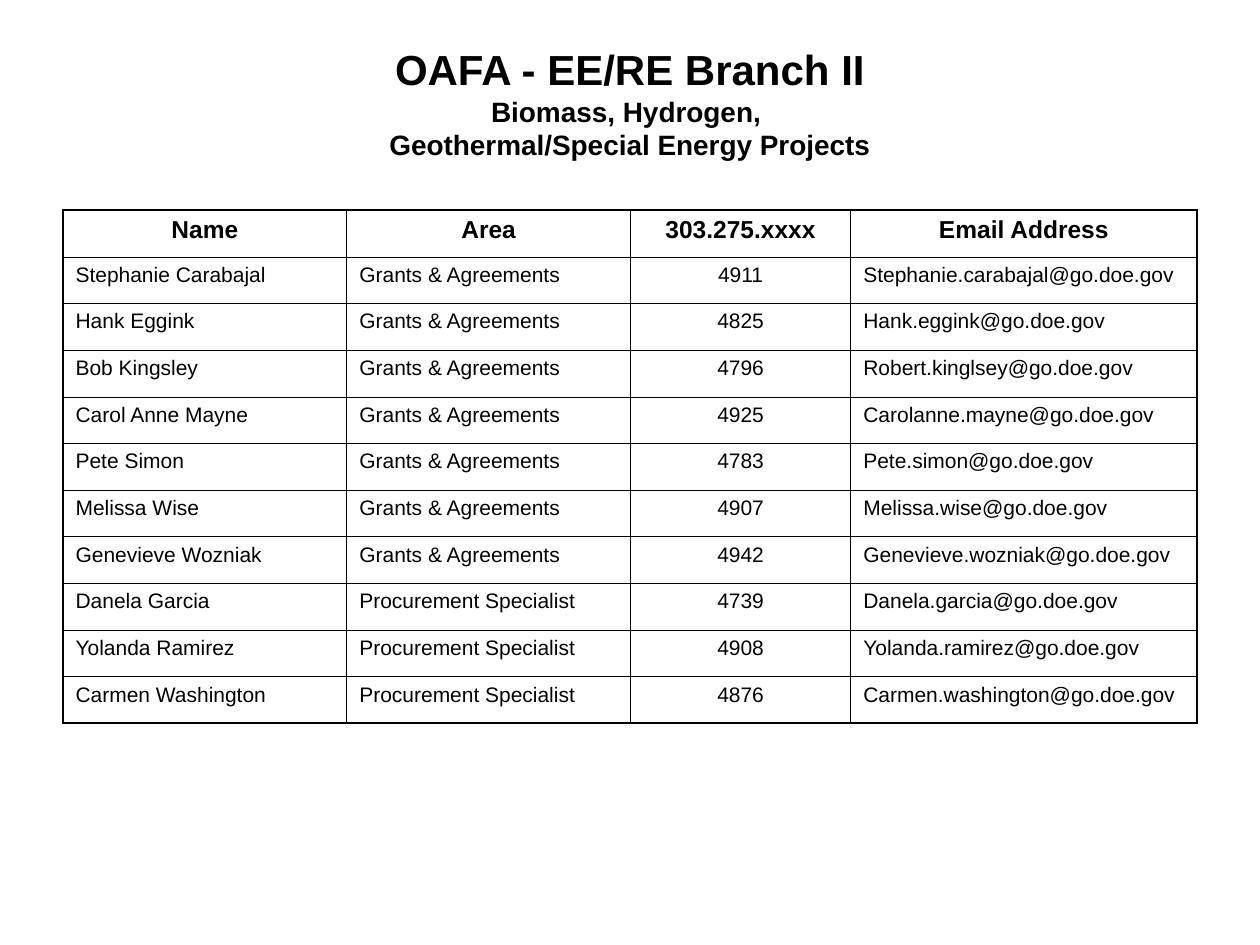
"""Build the OAFA EE/RE Branch II contact slide."""
from dataclasses import astuple, dataclass

from lxml import etree
from pptx import Presentation, util as u
from pptx.dml.color import RGBColor
from pptx.enum import text as t
from pptx.oxml import ns

INK = "000000"
FONT = "Arial"
GRANTS = "Grants & Agreements"
PROCUREMENT = "Procurement Specialist"
THIN, THICK = 0.45, 1.08
LEFT, WIDTH = u.Cm(1.27), u.Cm(22.86)
ROW_HEIGHT = u.Cm(0.94)
COLUMN_WIDTHS = (5.72, 5.72, 4.44, 6.98)
PHONE_COLUMN = 2


@dataclass
class Contact:
    name: str
    area: str
    phone: str
    email: str


HEADINGS = Contact("Name", "Area", "303.275.xxxx", "Email Address")
CONTACTS = [
    Contact("Stephanie Carabajal", GRANTS, "4911", "Stephanie.carabajal@go.doe.gov"),
    Contact("Hank Eggink", GRANTS, "4825", "Hank.eggink@go.doe.gov"),
    Contact("Bob Kingsley", GRANTS, "4796", "Robert.kinglsey@go.doe.gov"),
    Contact("Carol Anne Mayne", GRANTS, "4925", "Carolanne.mayne@go.doe.gov"),
    Contact("Pete Simon", GRANTS, "4783", "Pete.simon@go.doe.gov"),
    Contact("Melissa Wise", GRANTS, "4907", "Melissa.wise@go.doe.gov"),
    Contact("Genevieve Wozniak", GRANTS, "4942", "Genevieve.wozniak@go.doe.gov"),
    Contact("Danela Garcia", PROCUREMENT, "4739", "Danela.garcia@go.doe.gov"),
    Contact("Yolanda Ramirez", PROCUREMENT, "4908", "Yolanda.ramirez@go.doe.gov"),
    Contact("Carmen Washington", PROCUREMENT, "4876", "Carmen.washington@go.doe.gov"),
]


def color(value: str) -> RGBColor:
    return RGBColor.from_string(value)


def write(paragraph, words: str, *, size: float, bold: bool = False, centered: bool = False) -> None:
    paragraph.alignment = t.PP_ALIGN.CENTER if centered else t.PP_ALIGN.LEFT
    run = paragraph.add_run()
    run.text = words
    run.font.name = FONT
    run.font.size = u.Pt(size)
    run.font.bold = bold
    run.font.color.rgb = color(INK)


def draw_border(cell, side: str, weight: float) -> None:
    properties = cell._tc.get_or_add_tcPr()
    line = etree.SubElement(properties, ns.qn(f"a:ln{side}"), w=str(int(u.Pt(weight))))
    fill = etree.SubElement(line, ns.qn("a:solidFill"))
    etree.SubElement(fill, ns.qn("a:srgbClr"), val=str(color(INK)))


def add_title(slide) -> None:
    frame = slide.shapes.add_textbox(LEFT, u.Cm(0.76), WIDTH, u.Cm(3.18)).text_frame
    frame.word_wrap = True
    frame.vertical_anchor = t.MSO_ANCHOR.TOP
    write(frame.paragraphs[0], "OAFA - EE/RE Branch II", size=24, bold=True, centered=True)
    for subtitle in ("Biomass, Hydrogen, ", "Geothermal/Special Energy Projects"):
        write(frame.add_paragraph(), subtitle, size=16, bold=True, centered=True)


def add_directory(slide, contacts: list[Contact]) -> None:
    rows = [HEADINGS, *contacts]
    last_row, last_column = len(rows) - 1, len(COLUMN_WIDTHS) - 1
    directory = slide.shapes.add_table(
        len(rows), len(COLUMN_WIDTHS), LEFT, u.Cm(4.24), WIDTH, ROW_HEIGHT * len(rows)
    ).table
    directory.first_row = directory.horz_banding = False
    for column, width in zip(directory.columns, COLUMN_WIDTHS):
        column.width = u.Cm(width)
    for r, contact in enumerate(rows):
        directory.rows[r].height = ROW_HEIGHT
        heading = r == 0
        for c, words in enumerate(astuple(contact)):
            cell = directory.cell(r, c)
            outer_edges = {"L": c == 0, "R": c == last_column, "T": heading, "B": r == last_row}
            for side, outer in outer_edges.items():
                draw_border(cell, side, THICK if outer else THIN)
            cell.fill.background()
            write(
                cell.text_frame.paragraphs[0],
                words,
                size=14 if heading else 12,
                bold=heading,
                centered=heading or c == PHONE_COLUMN,
            )


def main() -> None:
    deck = Presentation()
    deck.slide_width, deck.slide_height = u.Cm(25.4), u.Cm(19.05)
    slide = deck.slides.add_slide(deck.slide_layouts[6])
    add_title(slide)
    add_directory(slide, CONTACTS)
    deck.save("out.pptx")


if __name__ == "__main__":
    main()
